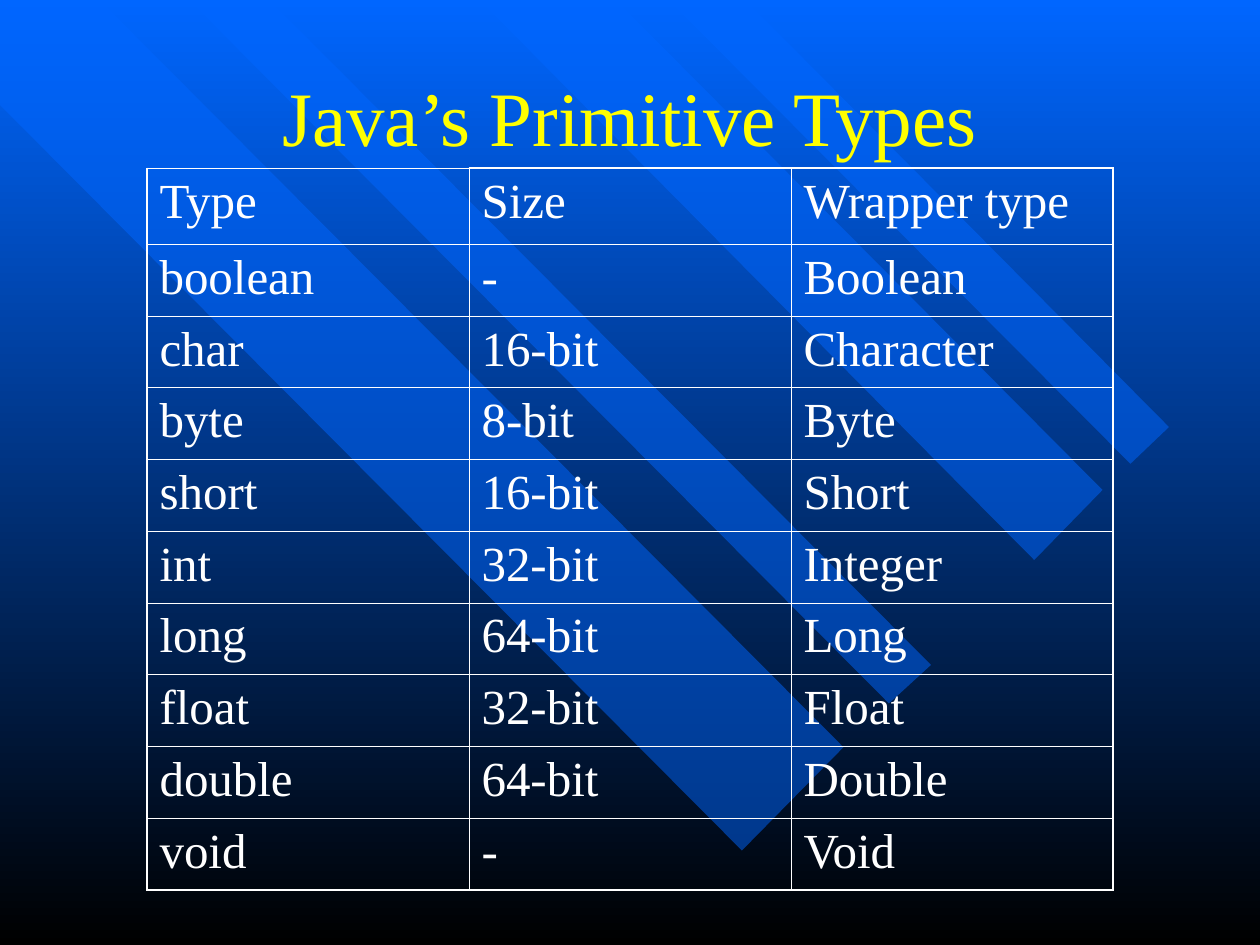
"""Build a slide that tables Java's primitive types over a striped gradient."""
from dataclasses import dataclass

from lxml import etree
from pptx import Presentation
from pptx import util as u
from pptx.dml import color
from pptx.enum import text
from pptx.oxml import ns


@dataclass(frozen=True)
class Theme:
    font: str = "Times New Roman"
    blue: str = "0066FF"
    black: str = "000000"
    yellow: str = "FFFF00"
    white: str = "FFFFFF"
    title_size: int = 44
    table_size: int = 28
    thin: float = 0.45
    thick: float = 1.08


theme = Theme()


def format_text(paragraph, size, rgb):
    values = {"name": theme.font, "size": u.Pt(size)}
    for name, value in values.items():
        setattr(paragraph.font, name, value)
    paragraph.font.color.rgb = color.RGBColor.from_string(rgb)


def add_border(cell, side, width):
    properties = cell._tc.get_or_add_tcPr()
    line = etree.SubElement(properties, ns.qn(f"a:{side}"), w=str(u.Pt(width)))
    fill = etree.SubElement(line, ns.qn("a:solidFill"))
    etree.SubElement(fill, ns.qn("a:srgbClr"), val=theme.white)


presentation = Presentation()
presentation.slide_width, presentation.slide_height = u.Pt(720), u.Pt(540)
slide = presentation.slides.add_slide(presentation.slide_layouts[6])

background = slide.background.fill
background.gradient()
background.gradient_angle = 270
for stop, rgb in zip(background.gradient_stops, (theme.blue, theme.black)):
    stop.color.rgb = color.RGBColor.from_string(rgb)

stripes = [
    [(482.5, 427), (57, 0), (0, 0), (0, 60.5), (424, 486)],
    [(154, 0), (531.5, 379.5), (508.5, 402.5), (107.5, 0)],
    [(352, 0), (630.5, 280), (591, 319.5), (273.5, 0)],
    [(381.5, 0), (646, 265), (667.5, 243.5), (425.5, 0)],
]
for start, *corners in stripes:
    builder = slide.shapes.build_freeform(*start, scale=u.Pt(1))
    builder.add_line_segments(corners, close=True)
    shape = builder.convert_to_shape()
    shape.shadow.inherit = False
    shape.line.fill.background()
    shape.fill.solid()
    shape.fill.fore_color.rgb = color.RGBColor.from_string(theme.blue)
    tint = shape._element.spPr.find(f".//{ns.qn('a:srgbClr')}")
    etree.SubElement(tint, ns.qn("a:alpha"), val="50000")

title = slide.shapes.add_textbox(u.Pt(54), u.Pt(18), u.Pt(612), u.Pt(96))
title_format = {"word_wrap": True, "vertical_anchor": text.MSO_ANCHOR.MIDDLE}
for name, value in title_format.items():
    setattr(title.text_frame, name, value)
paragraph = title.text_frame.paragraphs[0]
paragraph.text = "Java’s Primitive Types"
paragraph.alignment = text.PP_ALIGN.CENTER
format_text(paragraph, theme.title_size, theme.yellow)

rows = [
    ("Type", "Size", "Wrapper type"),
    ("boolean", "-", "Boolean"),
    ("char", "16-bit", "Character"),
    ("byte", "8-bit", "Byte"),
    ("short", "16-bit", "Short"),
    ("int", "32-bit", "Integer"),
    ("long", "64-bit", "Long"),
    ("float", "32-bit", "Float"),
    ("double", "64-bit", "Double"),
    ("void", "-", "Void"),
]
last_row, last_column = len(rows) - 1, len(rows[0]) - 1
header_height, row_height, column_width = 43.6, 41, 184
table = slide.shapes.add_table(
    len(rows), len(rows[0]), u.Pt(84), u.Pt(96),
    u.Pt(column_width * len(rows[0])),
    u.Pt(header_height + row_height * last_row),
).table
table.first_row = table.horz_banding = False
for column in table.columns:
    column.width = u.Pt(column_width)

for row_index, words in enumerate(rows):
    table.rows[row_index].height = u.Pt(row_height if row_index else header_height)
    for column_index, word in enumerate(words):
        cell = table.cell(row_index, column_index)
        cell.text = word
        format_text(cell.text_frame.paragraphs[0], theme.table_size, theme.white)
        thick_sides = {
            "lnL": column_index == 0,
            "lnR": column_index == last_column,
            "lnT": row_index == 0 and column_index > 0,
            "lnB": row_index == last_row,
        }
        for side, is_thick in thick_sides.items():
            add_border(cell, side, theme.thick if is_thick else theme.thin)
        cell.fill.background()

presentation.save("out.pptx")
